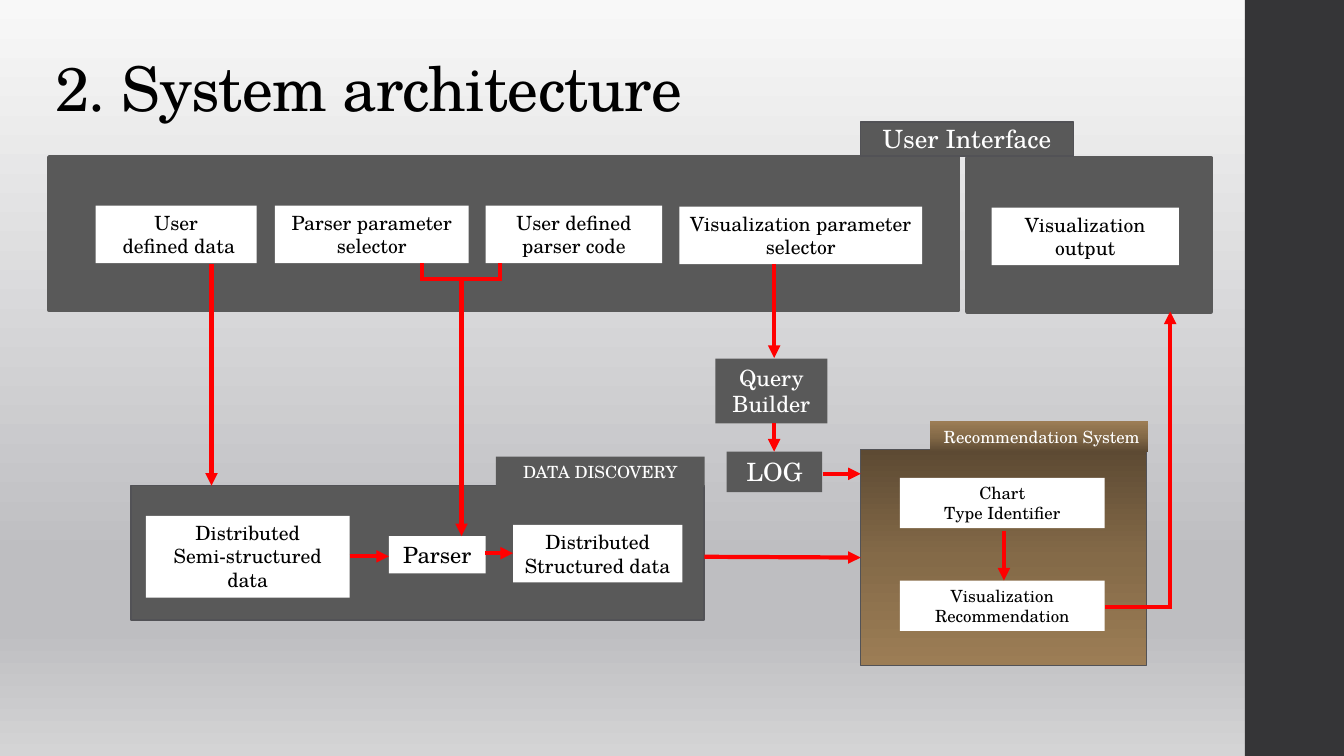
from lxml import etree
from pptx import Presentation
from pptx.dml.color import RGBColor
from pptx.enum.shapes import MSO_CONNECTOR, MSO_SHAPE
from pptx.enum.text import MSO_ANCHOR, PP_ALIGN
from pptx.oxml.ns import qn
from pptx.util import Cm, Pt

LINE, RECT = MSO_CONNECTOR.STRAIGHT, MSO_SHAPE.RECTANGLE
TOP, MID, LOW = MSO_ANCHOR.TOP, MSO_ANCHOR.MIDDLE, MSO_ANCHOR.BOTTOM
LEFT, MIDST, RIGHT = PP_ALIGN.LEFT, PP_ALIGN.CENTER, PP_ALIGN.RIGHT

FONT = "TeX Gyre Schola"
BLACK = RGBColor(0, 0, 0)
WHITE = RGBColor(0xFF, 0xFF, 0xFF)
GREY = RGBColor(0x59, 0x59, 0x59)
DARK = RGBColor(0x35, 0x35, 0x37)
EDGE = RGBColor(0x52, 0x52, 0x56)
RED = RGBColor(0xFF, 0, 0)

# Gradient stops: percent, colour
SKY = [(0, "F8F8F8"), (74, "BEBEC1"), (83, "BEBEC1"), (100, "D4D4D5")]
BROWN = [(0, "5D4A33"), (50, "846A48"), (100, "9C7D55")]
DOWN, UP = 270, 90

TITLE = "2. System architecture"
TITLE_AT = (1.14, 1.02, 29.29, 2.24)

# Place in cm (left, top, width, height), edge colour, edge points
PANELS = [
    ((31.37, 0, 2.5, 19.05), DARK, None, 0),
    ((1.24, 3.96, 22.91, 3.86), GREY, GREY, 3),
    ((24.38, 3.99, 6.15, 3.86), GREY, GREY, 3),
    ((3.3, 12.24, 14.45, 3.38), GREY, EDGE, 1.1),
    ((21.69, 11.33, 7.21, 5.44), BROWN, EDGE, 1.1),
]

# Place, text, size
CARDS = [
    ((2.41, 5.18, 4.06, 1.45), "User\n defined data", 14),
    ((6.93, 5.18, 4.88, 1.45), "Parser parameter\nselector", 14),
    ((12.24, 5.18, 4.45, 1.45), "User defined\nparser code", 14),
    ((17.12, 5.21, 6.12, 1.45), "Visualization parameter\nselector", 14),
    ((24.99, 5.23, 4.72, 1.45), "Visualization\noutput", 14),
    ((3.68, 13, 5.13, 2.06), "Distributed\nSemi-structured data", 14),
    ((9.8, 13.51, 2.44, 0.94), "Parser", 16),
    ((12.93, 13.23, 4.27, 1.45), "Distributed\nStructured data", 14),
    ((22.68, 12.04, 5.16, 1.27), "Chart\nType Identifier", 12),
    ((22.68, 14.63, 5.16, 1.27), "Visualization\nRecommendation", 12),
]
LABELS = [
    ((12.5, 11.51, 5.26, 0.76), "DATA DISCOVERY", 12),
    ((18.03, 9.04, 2.82, 1.63), "Query\nBuilder", 16),
    ((18.31, 11.38, 2.41, 1.02), "LOG", 18),
]
FACE = ((21.69, 3.07, 5.36, 0.86), "User Interface", 18)
ADVICE = ((23.44, 10.62, 5.49, 0.76), "Recommendation System", 12)

# From x, y to x, y in cm
ARROWS = [
    (5.33, 6.65, 5.33, 12.24),
    (11.63, 7.04, 11.63, 13.51),
    (8.81, 14.02, 9.8, 14.02),
    (12.23, 13.94, 12.93, 13.94),
    (17.75, 14.03, 21.69, 14.05),
    (19.51, 6.65, 19.51, 9.02),
    (19.51, 10.67, 19.51, 11.38),
    (20.73, 11.94, 21.69, 11.94),
    (25.3, 13.39, 25.3, 14.63),
    (29.49, 15.29, 29.49, 7.85),
]
JOINS = [
    (10.64, 6.63, 10.64, 7.04),
    (12.6, 6.63, 12.6, 7.04),
    (12.65, 7.04, 10.59, 7.04),
    (29.54, 15.29, 27.84, 15.29),
]


def blend(fill, root, stops, angle):
    """Fill with a gradient of any number of stops; root holds the fill."""
    fill.gradient()
    fill.gradient_angle = angle
    group = next(root.iter(qn("a:gsLst")))
    for old in list(group):
        group.remove(old)
    for spot, tone in stops:
        stop = etree.SubElement(group, qn("a:gs"), pos=str(spot * 1000))
        etree.SubElement(stop, qn("a:srgbClr"), val=tone)


def write(shape, text, size, tone, align=MIDST, anchor=TOP):
    frame = shape.text_frame
    frame.word_wrap = True
    frame.vertical_anchor = anchor
    frame.margin_left = frame.margin_right = Cm(0.2)
    frame.text = text
    for para in frame.paragraphs:
        para.alignment = align
        para.font.name = FONT
        para.font.size = Pt(size)
        para.font.color.rgb = tone


def block(place, fill, edge=None, width=0, angle=DOWN):
    shape = shapes.add_shape(RECT, *map(Cm, place))
    shape.shadow.inherit = False
    if isinstance(fill, RGBColor):
        shape.fill.solid()
        shape.fill.fore_color.rgb = fill
    else:
        blend(shape.fill, shape._element, fill, angle)
    if edge is None:
        shape.line.fill.background()
    else:
        shape.line.color.rgb = edge
        shape.line.width = Pt(width)
    return shape


def link(ends, head):
    line = shapes.add_connector(LINE, *map(Cm, ends))
    line.line.color.rgb = RED
    line.line.width = Pt(3)
    if head:
        etree.SubElement(line.line._get_or_add_ln(), qn("a:tailEnd"), type="triangle")
    etree.SubElement(line._element.spPr, qn("a:effectLst"))


deck = Presentation()
deck.slide_width, deck.slide_height = Cm(33.87), Cm(19.05)
slide = deck.slides.add_slide(deck.slide_layouts[6])
shapes = slide.shapes
blend(slide.background.fill, slide._element, SKY, DOWN)

for panel in PANELS:
    block(*panel)

title = shapes.add_textbox(*map(Cm, TITLE_AT))
write(title, TITLE, 44, BLACK, LEFT, LOW)
title.text_frame.margin_left = Cm(0.25)
head = title.text_frame.paragraphs[0]
head.line_spacing = 0.9
head.runs[0].font._element.set("spc", "-50")

for place, text, size in CARDS:
    write(block(place, WHITE), text, size, BLACK)
for place, text, size in LABELS:
    write(block(place, GREY), text, size, WHITE)

place, text, size = FACE
write(block(place, GREY, EDGE, 1.1), text, size, WHITE, anchor=MID)
place, text, size = ADVICE
write(block(place, BROWN, angle=UP), text, size, WHITE, RIGHT)

for ends in JOINS:
    link(ends, False)
for ends in ARROWS:
    link(ends, True)

deck.save("out.pptx")
